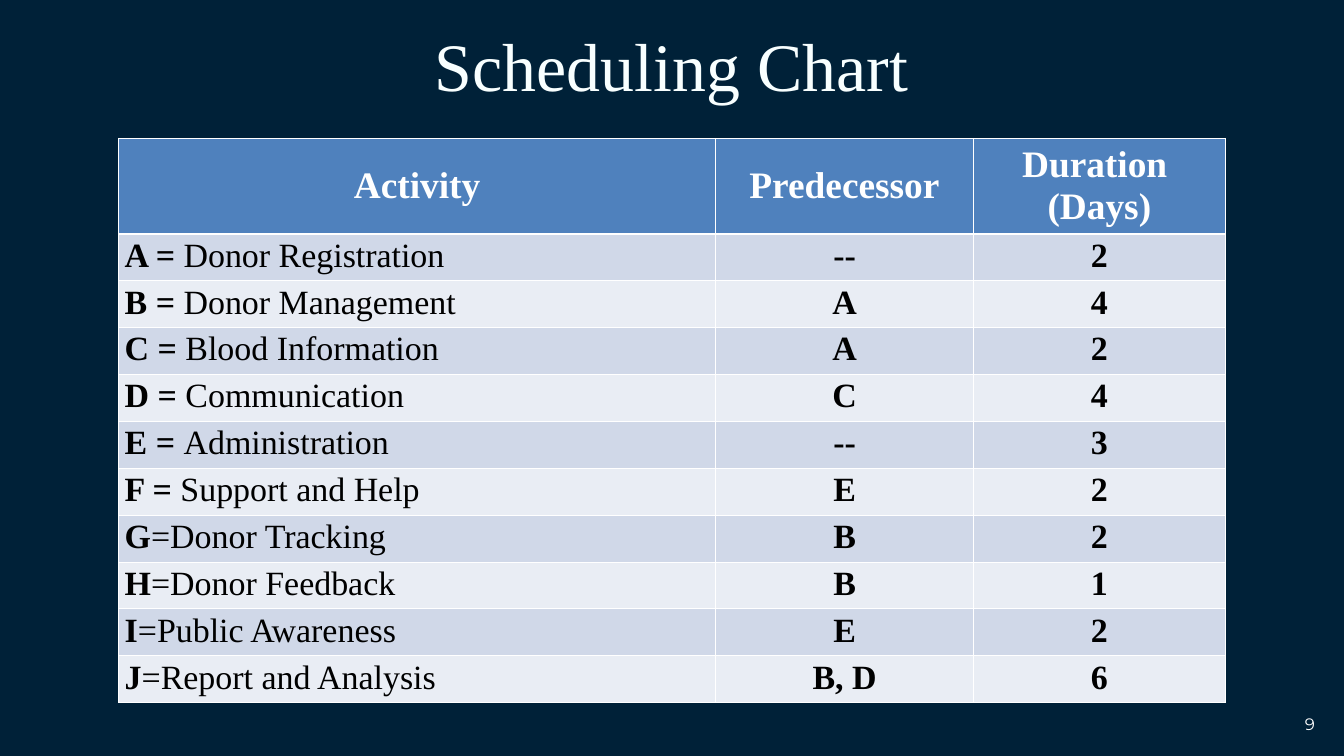
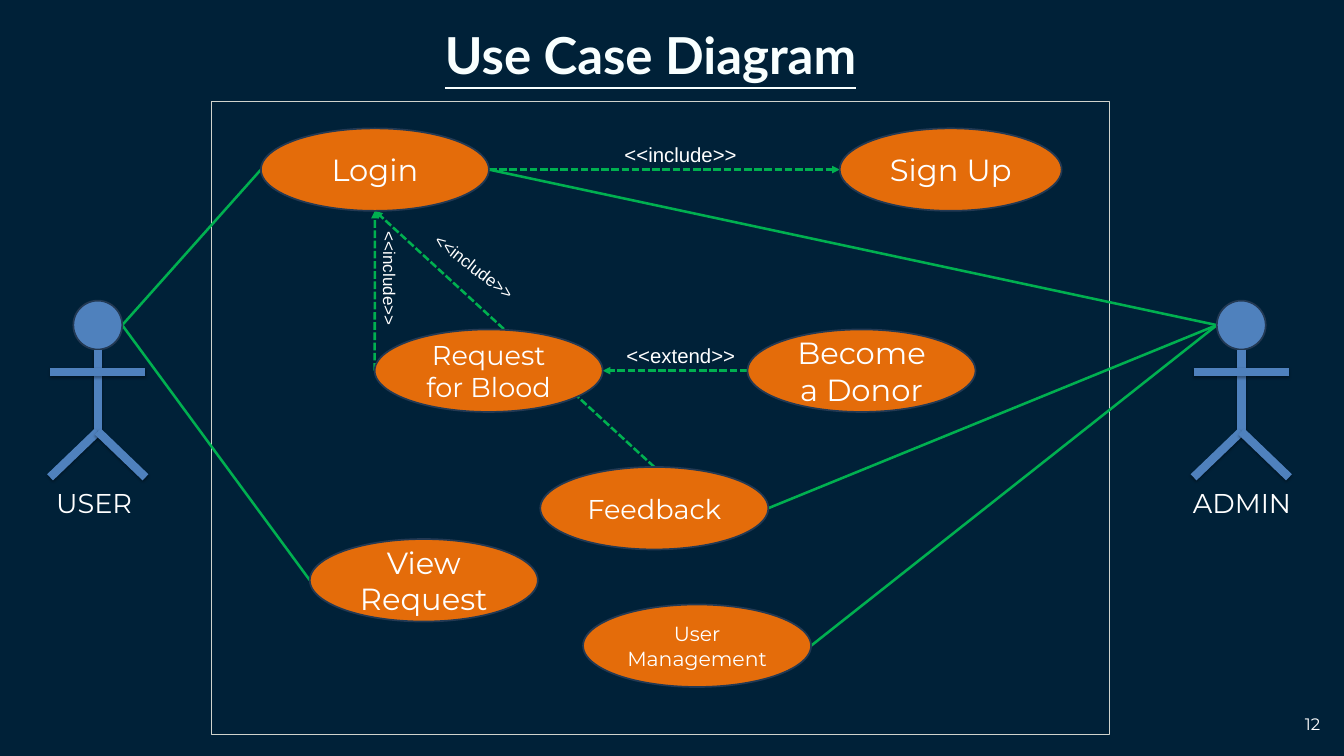
from dataclasses import dataclass

from lxml import etree
from pptx import Presentation
from pptx import util as u
from pptx.dml.color import RGBColor
from pptx.enum import dml, shapes, text
from pptx.oxml.ns import qn


@dataclass(frozen=True)
class Theme:
    # Colours
    navy: str = "002138"
    title: str = "F8FFFF"
    white: str = "FFFFFF"
    black: str = "000000"
    blue: str = "4F81BD"
    bands: tuple = ("D0D8E8", "E9EDF4")
    orange: str = "E46C0A"
    green: str = "00B050"
    outline: str = "233953"
    frame: str = "D0D3CC"
    # Fonts
    serif: str = "Times New Roman"
    heading: str = "Lato"
    sans: str = "Montserrat"
    plain: str = "Arial"
    # Type sizes
    title_large: float = 80
    title_small: float = 60
    table_head: float = 44
    table_body: float = 40
    large: float = 36
    medium: float = 32
    small: float = 24
    tiny: float = 20
    number: float = 19.5


THEME = Theme()
SLIDE_SIZE = (1583.3, 890.6)
CENTER = text.PP_ALIGN.CENTER
NO_INSETS = dict.fromkeys(
    ("margin_left", "margin_top", "margin_right", "margin_bottom"), 0)

# Schedule: activity letter, separator and name, predecessor, days
COLUMNS = (703.4, 303.8, 296.6)
HEADINGS = (("Activity",), ("Predecessor",), ("Duration ", "(Days)"))
ACTIVITIES = (
    ("A = ", "Donor Registration", "--", "2"),
    ("B = ", "Donor Management", "A", "4"),
    ("C = ", "Blood Information", "A", "2"),
    ("D = ", "Communication", "C", "4"),
    ("E = ", "Administration", "--", "3"),
    ("F = ", "Support and Help", "E", "2"),
    ("G", "=Donor Tracking", "B", "2"),
    ("H", "=Donor Feedback", "B", "1"),
    ("I", "=Public Awareness", "E", "2"),
    ("J", "=Report and Analysis", "B, D", "6"),
)

# Use cases: left, top, width, type size
CASE_HEIGHT = 97.2
CASES = {
    "Sign Up": (989.3, 151.2, 261.4, THEME.large),
    "Login": (307.4, 151.2, 268.6, THEME.large),
    "Request for Blood": (441.4, 388.1, 268.6, THEME.medium),
    "Become a Donor": (880.6, 388.1, 268.6, THEME.large),
    "Feedback": (636.5, 550.1, 268.6, THEME.medium),
    "User Management": (686.9, 712.1, 268.6, THEME.small),
    "View Request": (365, 635, 268.6, THEME.large),
}

# Actors: centre, label left, label width
HEAD_TOP, HEAD_SIZE = 354.2, 57.6
ACTORS = {"USER": (115.2, 59, 112.3), "ADMIN": (1462.3, 1398.2, 136.1)}

# Links: from, side, to, side
SOLID_LINKS = (
    ("Login", "right", "ADMIN", "left"),
    ("USER", "right", "Login", "left"),
    ("View Request", "left", "USER", "right"),
    ("ADMIN", "left", "User Management", "right"),
    ("ADMIN", "left", "Feedback", "right"),
)
DASHED_LINKS = (
    ("Feedback", "top", "Login", "bottom"),
    ("Login", "right", "Sign Up", "left"),
    ("Become a Donor", "left", "Request for Blood", "right"),
    ("Request for Blood", "left", "Login", "bottom"),
)
# Link labels: text, box, type size, rotation
LINK_LABELS = (
    ("<<include>>", (728.6, 163.4, 157.7, 36), THEME.small, 0),
    ("<<extend>>", (730.8, 400.3, 144.7, 36), THEME.small, 0),
    ("<<include>>", (395.3, 313.9, 127.4, 31.7), THEME.tiny, 90),
    ("<<include>>", (496.1, 299.5, 127.4, 31.7), THEME.tiny, 37.7),
)


def color(value):
    return RGBColor.from_string(value)


def points(values):
    return [u.Pt(value) for value in values]


def apply(target, values):
    for name, value in values.items():
        setattr(target, name, value)


def style(name, size, tint, **extra):
    return {"name": name, "size": u.Pt(size), "tint": tint, **extra}


def write(para, words, look, **extra):
    span = para.add_run()
    span.text = words
    values = {**look, **extra}
    span.font.color.rgb = color(values.pop("tint"))
    apply(span.font, values)


def add_text(parent, words, area, look, align=None, **frame_values):
    box = parent.shapes.add_textbox(*points(area))
    apply(box.text_frame, {"word_wrap": True, **frame_values})
    para = box.text_frame.paragraphs[0]
    para.alignment = align
    write(para, words, look)
    return box


def add_figure(parent, kind, area, fill, line, width):
    shape = parent.shapes.add_shape(kind, *points(area))
    shape.shadow.inherit = False
    if fill:
        shape.fill.solid()
        shape.fill.fore_color.rgb = color(fill)
    else:
        shape.fill.background()
    shape.line.color.rgb = color(line)
    shape.line.width = u.Pt(width)
    return shape


def add_line(parent, start, end, tint, width, arrow=False, shadow=False):
    line = parent.shapes.add_connector(
        shapes.MSO_CONNECTOR.STRAIGHT, *points((*start, *end)))
    line.line.color.rgb = color(tint)
    line.line.width = u.Pt(width)
    properties = line._element.spPr
    if arrow:
        line.line.dash_style = dml.MSO_LINE.SQUARE_DOT
        etree.SubElement(properties.get_or_add_ln(), qn("a:tailEnd"), type="triangle")
    effects = etree.SubElement(properties, qn("a:effectLst"))
    if shadow:
        outer = etree.SubElement(effects, qn("a:outerShdw"), blurRad=str(u.Pt(3.1)),
                                 dist=str(u.Pt(1.8)), dir="5400000", rotWithShape="0")
        shade = etree.SubElement(outer, qn("a:srgbClr"), val=THEME.black)
        etree.SubElement(shade, qn("a:alpha"), val="35000")


def add_page(deck, title, area, look, number, align=None):
    page = deck.slides.add_slide(deck.slide_layouts[6])
    add_text(page, title, area, look, align, **NO_INSETS)
    add_text(page, number, (1534.3, 840.2, 48, 24.5),
             style(THEME.sans, THEME.number, THEME.white),
             **{**NO_INSETS, "margin_left": u.Pt(2.9), "margin_top": u.Pt(0.7)})
    return page


def format_cell(cell, fill, bottom=1):
    properties = cell._tc.get_or_add_tcPr()
    for side, width in {"L": 1, "R": 1, "T": 1, "B": bottom}.items():
        border = etree.SubElement(properties, qn(f"a:ln{side}"), w=str(u.Pt(width)))
        paint = etree.SubElement(border, qn("a:solidFill"))
        etree.SubElement(paint, qn("a:srgbClr"), val=THEME.white)
    cell.fill.solid()
    cell.fill.fore_color.rgb = color(fill)


def add_schedule(page):
    head_height, row_height = 98.6, 53.2
    count = len(ACTIVITIES)
    area = (139.7, 162.7, sum(COLUMNS), head_height + count * row_height)
    table = page.shapes.add_table(count + 1, len(COLUMNS), *points(area)).table
    for column, width in zip(table.columns, COLUMNS):
        column.width = u.Pt(width)
    for index, row in enumerate(table.rows):
        row.height = u.Pt(row_height if index else head_height)

    # Header row
    look = style(THEME.serif, THEME.table_head, THEME.white, bold=True)
    for cell, lines in zip(table.rows[0].cells, HEADINGS):
        format_cell(cell, THEME.blue, bottom=3)
        cell.vertical_anchor = text.MSO_ANCHOR.MIDDLE
        for index, words in enumerate(lines):
            frame = cell.text_frame
            para = frame.add_paragraph() if index else frame.paragraphs[0]
            para.alignment = CENTER
            write(para, words, look)

    # Activity rows
    look = style(THEME.serif, THEME.table_body, THEME.black, bold=True)
    for index, (letter, name, *values) in enumerate(ACTIVITIES):
        cells = list(table.rows[index + 1].cells)
        for cell in cells:
            format_cell(cell, THEME.bands[index % 2])
        para = cells[0].text_frame.paragraphs[0]
        write(para, letter, look)
        write(para, name, look, bold=False)
        for cell, words in zip(cells[1:], values):
            para = cell.text_frame.paragraphs[0]
            para.alignment = CENTER
            write(para, words, look)


def anchor(name, side):
    if name in ACTORS:
        left, top = ACTORS[name][0] - HEAD_SIZE / 2, HEAD_TOP
        width = height = HEAD_SIZE
    else:
        left, top, width, _ = CASES[name]
        height = CASE_HEIGHT
    across, down = {"left": (0, 0.5), "right": (1, 0.5),
                    "top": (0.5, 0), "bottom": (0.5, 1)}[side]
    return left + across * width, top + down * height


def add_actor(page, name):
    center, label_left, label_width = ACTORS[name]
    neck, arms, hip, feet, reach = HEAD_TOP + HEAD_SIZE, 438.5, 508.3, 562.3, 56.2
    group = page.shapes.add_group_shape()
    add_figure(group, shapes.MSO_SHAPE.OVAL,
               (center - HEAD_SIZE / 2, HEAD_TOP, HEAD_SIZE, HEAD_SIZE),
               THEME.blue, THEME.outline, 2)
    limbs = (((0, neck), (0, hip)), ((-reach, arms), (reach, arms)),
             ((-reach, feet), (0, hip)), ((0, hip), (reach, feet)))
    for (x1, y1), (x2, y2) in limbs:
        add_line(group, (center + x1, y1), (center + x2, y2), THEME.blue, 10, shadow=True)
    add_text(group, name, (label_left, 569.5, label_width, 46.1),
             style(THEME.sans, THEME.medium, THEME.white))


def add_case(page, name):
    left, top, width, size = CASES[name]
    oval = add_figure(page, shapes.MSO_SHAPE.OVAL, (left, top, width, CASE_HEIGHT),
                      THEME.orange, THEME.outline, 2)
    oval.text_frame.vertical_anchor = text.MSO_ANCHOR.MIDDLE
    para = oval.text_frame.paragraphs[0]
    para.alignment = CENTER
    write(para, name, style(THEME.sans, size, THEME.white))


def add_use_cases(page):
    # System boundary
    add_figure(page, shapes.MSO_SHAPE.RECTANGLE, (249.1, 118.8, 1057, 745.9),
               None, THEME.frame, 0.25)
    # Links run behind the use cases
    for links, arrow in ((DASHED_LINKS, True), (SOLID_LINKS, False)):
        for start, start_side, end, end_side in links:
            add_line(page, anchor(start, start_side), anchor(end, end_side),
                     THEME.green, 3, arrow)
    for name in ACTORS:
        add_actor(page, name)
    for name in CASES:
        add_case(page, name)
    for words, area, size, rotation in LINK_LABELS:
        label = add_text(page, words, area, style(THEME.plain, size, THEME.white))
        label.rotation = rotation


def main():
    deck = Presentation()
    deck.slide_width, deck.slide_height = points(SLIDE_SIZE)
    # Shared background
    backdrop = deck.slide_master.background.fill
    backdrop.solid()
    backdrop.fore_color.rgb = color(THEME.navy)

    page = add_page(deck, "Scheduling Chart", (498.2, 28.1, 586.1, 97.2),
                    style(THEME.serif, THEME.title_large, THEME.title), "9", CENTER)
    add_schedule(page)

    page = add_page(deck, "Use Case Diagram", (524.2, 28.1, 535, 72.7),
                    style(THEME.heading, THEME.title_small, THEME.title,
                          bold=True, underline=True), "12")
    add_use_cases(page)
    deck.save("out.pptx")


if __name__ == "__main__":
    main()
